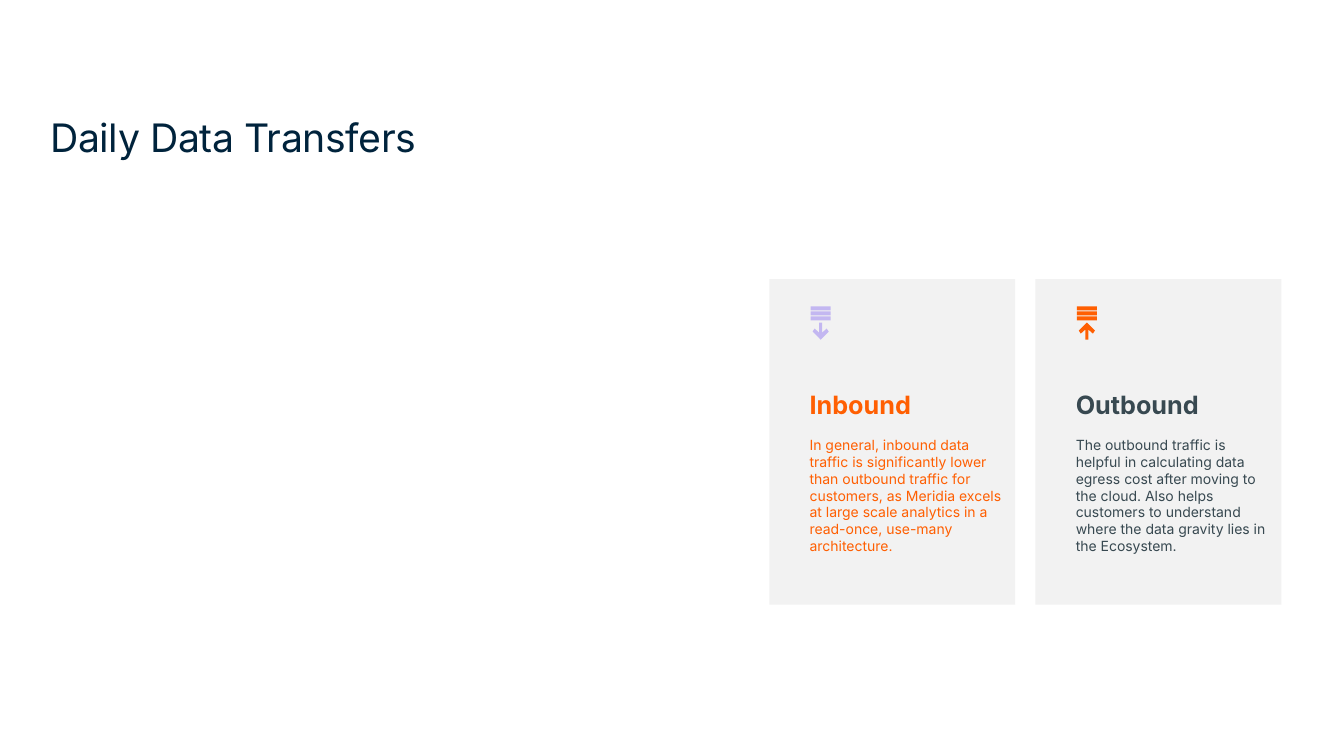
from dataclasses import dataclass

from pptx import Presentation
from pptx import util as u
from pptx.dml.color import RGBColor
from pptx.enum import shapes, text


@dataclass(frozen=True)
class Theme:
    font: str = "Inter"
    navy: str = "00233C"
    orange: str = "FF5F02"
    slate: str = "384951"
    lilac: str = "C3B7F1"
    panel: str = "F2F2F2"
    title_size: int = 28
    heading_size: int = 18
    body_size: int = 10


THEME = Theme()

# Card layout in inches
CARD_LEFT, CARD_TOP, CARD_WIDTH, CARD_HEIGHT, CARD_GAP = 7.63, 2.77, 2.44, 3.23, 0.2
ICON_INSET, ICON_DROP, ICON_WIDTH = 0.41, 0.27, 0.2

# Heading, body, text colour, icon colour, arrow points down
CARDS = [
    ("Inbound",
     "In general, inbound data traffic is significantly lower than outbound "
     "traffic for customers, as Meridia excels at large scale analytics in a "
     "read-once, use-many architecture.",
     THEME.orange, THEME.lilac, True),
    ("Outbound",
     "The outbound traffic is helpful in calculating data egress cost after "
     "moving to the cloud. Also helps customers to understand where the data "
     "gravity lies in the Ecosystem.",
     THEME.slate, THEME.orange, False),
]


def paint(shape, color):
    shape.shadow.inherit = False
    shape.fill.solid()
    shape.fill.fore_color.rgb = RGBColor.from_string(color)
    shape.line.fill.background()


def add_rectangle(container, left, top, width, height, color):
    shape = container.add_shape(
        shapes.MSO_SHAPE.RECTANGLE, u.Inches(left), u.Inches(top),
        u.Inches(width), u.Inches(height))
    paint(shape, color)
    return shape


def set_frame(frame, anchor, left=0, right=0, bottom=0):
    frame.word_wrap = True
    frame.vertical_anchor = anchor
    frame.margin_left, frame.margin_top = u.Inches(left), 0
    frame.margin_right, frame.margin_bottom = u.Inches(right), u.Inches(bottom)


def add_run(paragraph, content, size, color, bold=False):
    paragraph.alignment = text.PP_ALIGN.LEFT
    run = paragraph.add_run()
    run.text = content
    run.font.name = THEME.font
    run.font.size = u.Pt(size)
    run.font.bold = bold
    run.font.color.rgb = RGBColor.from_string(color)
    return run


def add_title(slide, content):
    box = slide.shapes.add_textbox(
        u.Inches(0.5), u.Inches(1.12), u.Inches(12.33), u.Inches(1.54))
    set_frame(box.text_frame, text.MSO_ANCHOR.TOP)
    run = add_run(box.text_frame.paragraphs[0], content, THEME.title_size, THEME.navy)
    run.font._element.set("spc", "-30")  # tighten letters by 0.3 pt


def add_arrow(container, center, top, color, down):
    height, shaft = 0.17, 0.03
    # Right half of the arrow: offset from centre, distance from tip
    right = [(0.08, 0.08), (0.06, 0.11), (shaft / 2, 0.07), (shaft / 2, height)]
    left = [(-offset, distance) for offset, distance in reversed(right)]
    tip, direction = (top + height, -1) if down else (top, 1)
    points = [(u.Inches(center + offset), u.Inches(tip + direction * distance))
              for offset, distance in [(0, 0)] + right + left]
    builder = container.build_freeform(*points[0])
    builder.add_line_segments(points[1:], close=True)
    paint(builder.convert_to_shape(), color)


def add_transfer_icon(slide, left, top, color, down):
    group = slide.shapes.add_group_shape()
    for row in range(3):
        add_rectangle(group.shapes, left, top + row * 0.05, ICON_WIDTH, 0.04, color)
    add_arrow(group.shapes, left + ICON_WIDTH / 2, top + 0.16, color, down)


def add_card(slide, left, heading, body, color):
    card = add_rectangle(slide.shapes, left, CARD_TOP, CARD_WIDTH, CARD_HEIGHT, THEME.panel)
    frame = card.text_frame
    set_frame(frame, text.MSO_ANCHOR.BOTTOM, left=0.4, right=0.1, bottom=0.5)
    first, second = frame.paragraphs[0], frame.add_paragraph()
    add_run(first, heading, THEME.heading_size, color, bold=True)
    add_run(second, body, THEME.body_size, color)
    second.space_before = u.Pt(6)
    first.space_after = second.space_after = u.Pt(6)


def main():
    presentation = Presentation()
    presentation.slide_width = u.Inches(13.33)
    presentation.slide_height = u.Inches(7.5)
    slide = presentation.slides.add_slide(presentation.slide_layouts[6])

    # Title
    add_title(slide, "Daily Data Transfers")

    # Cards with their icons
    for index, (heading, body, color, icon_color, down) in enumerate(CARDS):
        left = CARD_LEFT + index * (CARD_WIDTH + CARD_GAP)
        add_card(slide, left, heading, body, color)
        add_transfer_icon(slide, left + ICON_INSET, CARD_TOP + ICON_DROP, icon_color, down)

    presentation.save("out.pptx")


if __name__ == "__main__":
    main()
